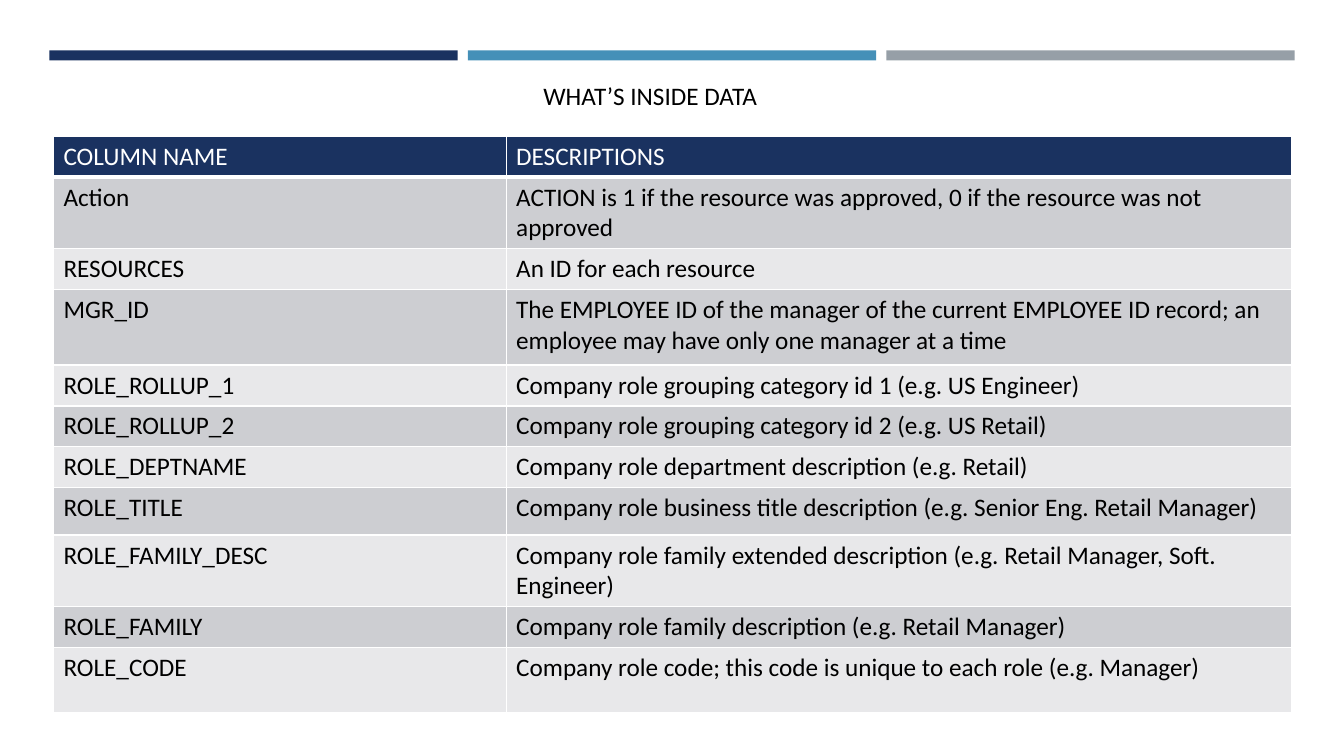
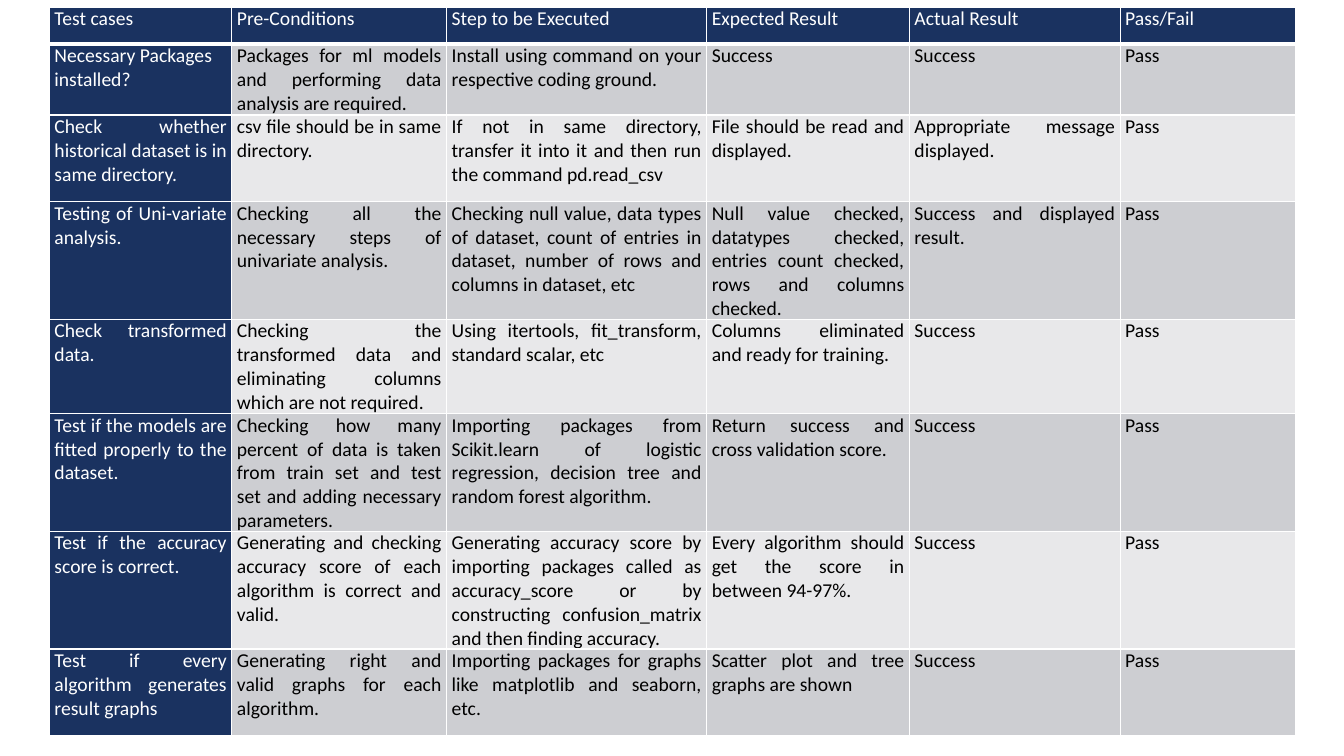
from dataclasses import dataclass

from lxml import etree
from pptx import Presentation
from pptx.dml.color import RGBColor
from pptx.enum.shapes import MSO_SHAPE
from pptx.enum.text import PP_ALIGN
from pptx.oxml.ns import qn
from pptx.util import Emu, Pt

RECTANGLE = MSO_SHAPE.RECTANGLE
LEFT = PP_ALIGN.LEFT
JUSTIFY = PP_ALIGN.JUSTIFY
EMU_PER_PX = 9144
EMU_PER_POINT = 12700
BLANK_LAYOUT = 6


@dataclass(frozen=True)
class Theme:
    """Colours, font and type sizes shared by the slides."""

    navy: str = "1A3260"
    blue: str = "4590B8"
    grey: str = "969FA7"
    dark_row: str = "CDCED2"
    light_row: str = "E8E8EA"
    white: str = "FFFFFF"
    black: str = "000000"
    font: str = "Calibri"
    large: int = 18
    small: int = 14
    thin_border: int = 1
    thick_border: int = 3


THEME = Theme()

DATA_COLUMNS = [
    ("COLUMN NAME", "DESCRIPTIONS"),
    ("Action", "ACTION is 1 if the resource was approved, 0 if the resource was not approved"),
    ("RESOURCES", "An ID for each resource"),
    ("MGR_ID", "The EMPLOYEE ID of the manager of the current EMPLOYEE ID record; "
               "an employee may have only one manager at a time"),
    ("ROLE_ROLLUP_1", "Company role grouping category id 1 (e.g. US Engineer)"),
    ("ROLE_ROLLUP_2", "Company role grouping category id 2 (e.g. US Retail)"),
    ("ROLE_DEPTNAME", "Company role department description (e.g. Retail)"),
    ("ROLE_TITLE", "Company role business title description (e.g. Senior Eng. Retail Manager)"),
    ("ROLE_FAMILY_DESC", "Company role family extended description "
                         "(e.g. Retail Manager, Soft. Engineer)"),
    ("ROLE_FAMILY", "Company role family description (e.g. Retail Manager)"),
    ("ROLE_CODE", "Company role code; this code is unique to each role (e.g. Manager)"),
]

TEST_CASES = [
    ("Test cases", "Pre-Conditions", "Step to be Executed",
     "Expected Result", "Actual Result", "Pass/Fail"),
    ("Necessary Packages installed?",
     "Packages for ml models and performing data analysis are required.",
     "Install using command on your respective coding ground.",
     "Success", "Success", "Pass"),
    ("Check whether historical dataset is in same directory.",
     "csv file should be in same directory.",
     "If not in same directory, transfer it into it and then run the command pd.read_csv",
     "File should be read and displayed.", "Appropriate message displayed.", "Pass"),
    ("Testing of Uni-variate analysis.",
     "Checking all the necessary steps of univariate analysis.",
     "Checking null value, data types of dataset, count of entries in dataset, "
     "number of rows and columns in dataset, etc",
     "Null value checked, datatypes checked, entries count checked, rows and columns checked.",
     "Success and displayed result.", "Pass"),
    ("Check transformed data.",
     "Checking the transformed data and eliminating columns which are not required.",
     "Using itertools, fit_transform, standard scalar, etc",
     "Columns eliminated and ready for training.", "Success", "Pass"),
    ("Test if the models are fitted properly to the dataset.",
     "Checking how many percent of data is taken from train set and test set "
     "and adding necessary parameters.",
     "Importing packages from Scikit.learn of logistic regression, decision tree "
     "and random forest algorithm.",
     "Return success and cross validation score.", "Success", "Pass"),
    ("Test if the accuracy score is correct.",
     "Generating and checking accuracy score of each algorithm is correct and valid.",
     "Generating accuracy score by importing packages called as accuracy_score "
     "or by constructing confusion_matrix and then finding accuracy.",
     "Every algorithm should get the score in between 94-97%.", "Success", "Pass"),
    ("Test if every algorithm generates result graphs",
     "Generating right and valid graphs for each algorithm.",
     "Importing packages for graphs like matplotlib and seaborn, etc.",
     "Scatter plot and tree graphs are shown", "Success", "Pass"),
]


def px(length):
    """Turn whole px into EMU."""
    return Emu(length * EMU_PER_PX)


def write_text(frame, text, size=THEME.large, color=THEME.black, align=LEFT):
    """Write one formatted paragraph into a text frame."""
    frame.word_wrap = True
    paragraph = frame.paragraphs[0]
    paragraph.alignment = align
    run = paragraph.add_run()
    run.text = text
    run.font.name = THEME.font
    run.font.size = Pt(size)
    run.font.bold = False
    run.font.color.rgb = RGBColor.from_string(color)


def add_bands(slide, layout):
    """Place the three top bands on the layout that the slides share."""
    for placeholder in list(layout.placeholders):
        layout.shapes.element.remove(placeholder.element)
    bands = []
    for index, color in enumerate((THEME.navy, THEME.blue, THEME.grey)):
        band = slide.shapes.add_shape(
            RECTANGLE, px(49 + index * 415), px(50), px(405), px(10))
        band.shadow.inherit = False
        band.fill.solid()
        band.fill.fore_color.rgb = RGBColor.from_string(color)
        band.line.fill.background()
        bands.append(band)
    for band in bands:
        layout.shapes.element.append(band.element)


def set_borders(cell, bottom):
    """Draw white lines on the four sides of a cell."""
    properties = cell._tc.get_or_add_tcPr()
    widths = {"lnL": THEME.thin_border, "lnR": THEME.thin_border,
              "lnT": THEME.thin_border, "lnB": bottom}
    for position, (side, width) in enumerate(widths.items()):
        line = etree.Element(qn(f"a:{side}"), w=str(width * EMU_PER_POINT))
        fill = etree.SubElement(line, qn("a:solidFill"))
        etree.SubElement(fill, qn("a:srgbClr"), val=THEME.white)
        properties.insert(position, line)


def format_cell(cell, fill, margins, bottom):
    """Set the fill, margins and borders of a cell."""
    cell.fill.solid()
    cell.fill.fore_color.rgb = RGBColor.from_string(fill)
    cell.margin_left = cell.margin_right = px(margins[0])
    cell.margin_top = cell.margin_bottom = px(margins[1])
    set_borders(cell, bottom)


def add_grid(slide, rows, left, top, widths, heights, size=THEME.large,
             margins=(10, 5), align=LEFT, header_column=False, left_cells=()):
    """Add a table with a navy header and alternating row fills."""
    table = slide.shapes.add_table(
        len(rows), len(widths), px(left), px(top),
        px(sum(widths)), px(sum(heights))).table
    table.first_col = header_column
    for column, width in zip(table.columns, widths):
        column.width = px(width)
    for row_index, (values, height) in enumerate(zip(rows, heights)):
        table.rows[row_index].height = px(height)
        is_top = row_index == 0
        row_fill = THEME.dark_row if row_index % 2 else THEME.light_row
        for column_index, text in enumerate(values):
            cell = table.cell(row_index, column_index)
            is_header = is_top or (header_column and column_index == 0)
            is_left = is_top or (row_index, column_index) in left_cells
            format_cell(cell, THEME.navy if is_header else row_fill, margins,
                        THEME.thick_border if is_top else THEME.thin_border)
            write_text(cell.text_frame, text, size=size,
                       color=THEME.white if is_header else THEME.black,
                       align=LEFT if is_left else align)


def add_title(slide, text):
    """Add the slide title."""
    box = slide.shapes.add_textbox(px(529), px(75), px(275), px(40))
    write_text(box.text_frame, text)


def main():
    """Build and save the presentation."""
    presentation = Presentation()
    presentation.slide_width = px(1333)
    presentation.slide_height = px(750)
    layout = presentation.slide_layouts[BLANK_LAYOUT]

    data_slide = presentation.slides.add_slide(layout)
    add_bands(data_slide, layout)
    add_grid(data_slide, DATA_COLUMNS, left=53, top=135, widths=(449, 779),
             heights=(37, 65, 37, 75, 37, 37, 37, 47, 65, 37, 65))
    add_title(data_slide, "WHAT’S INSIDE DATA")

    test_slide = presentation.slides.add_slide(layout)
    add_grid(test_slide, TEST_CASES, left=49, top=7,
             widths=(181, 213, 258, 201, 209, 174),
             heights=(37, 69, 86, 111, 86, 107, 107, 86),
             size=THEME.small, margins=(5, 0), align=JUSTIFY,
             header_column=True, left_cells={(1, 0)})

    presentation.save("out.pptx")


if __name__ == "__main__":
    main()
